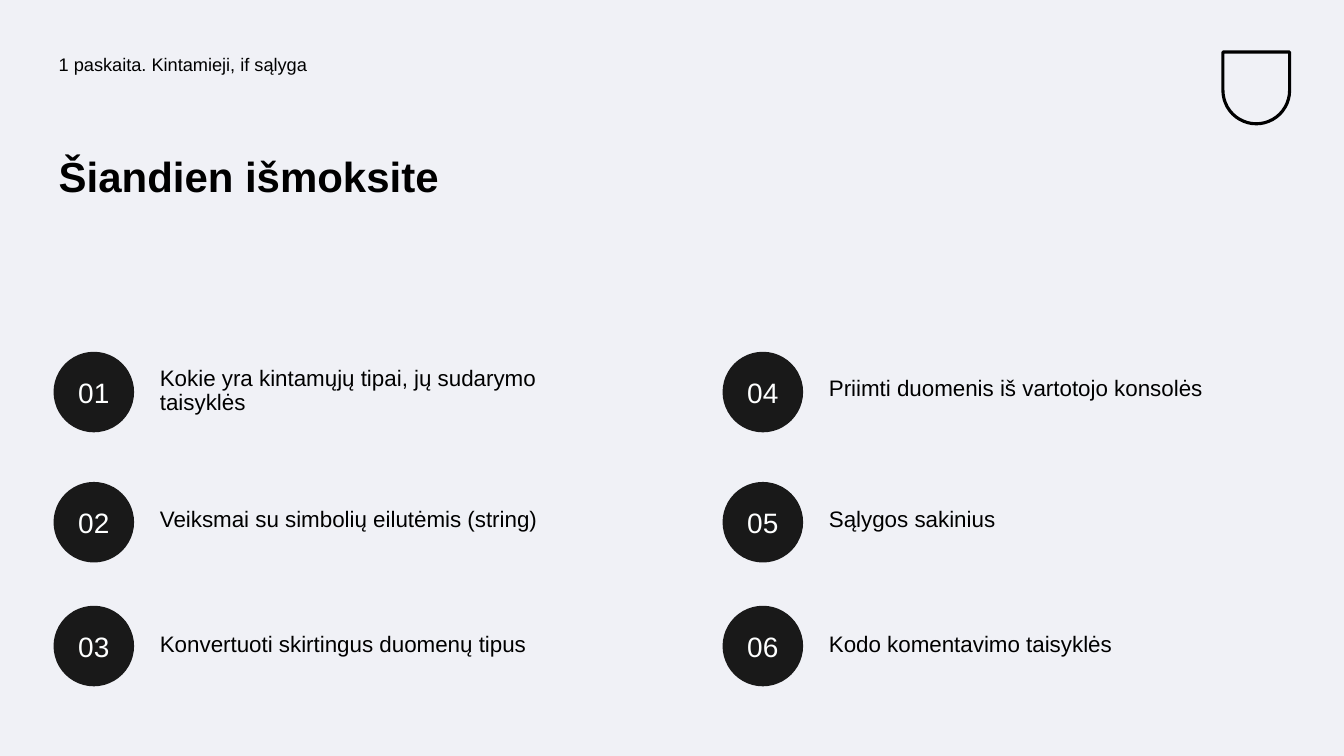
import dataclasses

import pptx
import pptx.dml.color
import pptx.enum.shapes
import pptx.enum.text
import pptx.util

Cm = pptx.util.Cm
Pt = pptx.util.Pt
RGB = pptx.dml.color.RGBColor
Shape = pptx.enum.shapes.MSO_SHAPE
Align = pptx.enum.text.PP_ALIGN
Anchor = pptx.enum.text.MSO_ANCHOR


@dataclasses.dataclass(frozen=True)
class Theme:
    font: str = "Arial"
    background: RGB = RGB(0xF0, 0xF1, 0xF6)
    text: RGB = RGB(0, 0, 0)
    badge: RGB = RGB(0x19, 0x19, 0x19)
    badge_text: RGB = RGB(0xFE, 0xFF, 0xFF)
    header_size: int = 13
    title_size: int = 30
    item_size: int = 16
    number_size: int = 20


@dataclasses.dataclass(frozen=True)
class Topic:
    text: str
    height: float  # cm


THEME = Theme()
LEFT = 1.35
COLUMNS = (LEFT, 18.21)
ROWS = (9.88, 13.16, 16.28)  # centre of each row
BADGE = 2.03
TEXT_OFFSET = 2.55
TOPICS = (
    Topic("Kokie yra kintamųjų tipai, jų sudarymo taisyklės", 1.52),
    Topic("Veiksmai su simbolių eilutėmis (string)", 0.97),
    Topic("Konvertuoti skirtingus duomenų tipus", 0.91),
    Topic("Priimti duomenis iš vartotojo konsolės", 1.02),
    Topic("Sąlygos sakinius", 0.97),
    Topic("Kodo komentavimo taisyklės", 0.91),
)


def write(sp, text: str, size: int, color: RGB = THEME.text, bold: bool = False,
          align=Align.LEFT, anchor=Anchor.TOP, spacing: float = 0.9) -> None:
    tf = sp.text_frame
    tf.word_wrap = True
    tf.auto_size = pptx.enum.text.MSO_AUTO_SIZE.NONE
    tf.vertical_anchor = anchor
    tf.margin_left = tf.margin_right = tf.margin_top = tf.margin_bottom = Cm(0.13)
    p = tf.paragraphs[0]
    p.alignment = align
    p.line_spacing = spacing
    r = p.add_run()
    r.text = text
    r.font.name = THEME.font
    r.font.size = Pt(size)
    r.font.bold = bold
    r.font.color.rgb = color


def add_header(s) -> None:
    sp = s.shapes.add_textbox(Cm(LEFT), Cm(1.27), Cm(15.6), Cm(1.27))
    write(sp, "1 paskaita. Kintamieji, if sąlyga", THEME.header_size)


def add_title(s) -> None:
    sp = s.shapes.title
    sp.left, sp.top, sp.width, sp.height = Cm(LEFT), Cm(3.81), Cm(14.33), Cm(3.78)
    write(sp, "Šiandien išmoksite", THEME.title_size, bold=True)


def add_emblem(s) -> None:
    sp = s.shapes.add_shape(Shape.ROUND_2_SAME_RECTANGLE,
                            Cm(30.82), Cm(1.31), Cm(1.68), Cm(1.81))
    sp.adjustments[0], sp.adjustments[1] = 0, 0.5
    sp.shadow.inherit = False
    sp.fill.background()
    sp.line.color.rgb = THEME.text
    sp.line.width = Pt(2.25)


def add_topic(s, number: int, topic: Topic, left: float, centre: float) -> None:
    badge = s.shapes.add_shape(Shape.OVAL, Cm(left), Cm(centre - BADGE / 2),
                               Cm(BADGE), Cm(BADGE))
    badge.shadow.inherit = False
    badge.fill.solid()
    badge.fill.fore_color.rgb = THEME.badge
    badge.line.fill.background()
    write(badge, f"{number:02}", THEME.number_size, THEME.badge_text,
          align=Align.CENTER, anchor=Anchor.MIDDLE, spacing=1.0)
    label = s.shapes.add_textbox(Cm(left + TEXT_OFFSET), Cm(centre - topic.height / 2),
                                 Cm(11.76), Cm(topic.height))
    write(label, topic.text, THEME.item_size)


def main() -> None:
    prs = pptx.Presentation()
    prs.slide_width, prs.slide_height = Cm(33.87), Cm(19.05)
    s = prs.slides.add_slide(prs.slide_layouts[5])
    s.background.fill.solid()
    s.background.fill.fore_color.rgb = THEME.background
    add_header(s)
    add_title(s)
    add_emblem(s)
    for i, topic in enumerate(TOPICS):
        column, row = divmod(i, len(ROWS))
        add_topic(s, i + 1, topic, COLUMNS[column], ROWS[row])
    prs.save("out.pptx")


if __name__ == "__main__":
    main()
